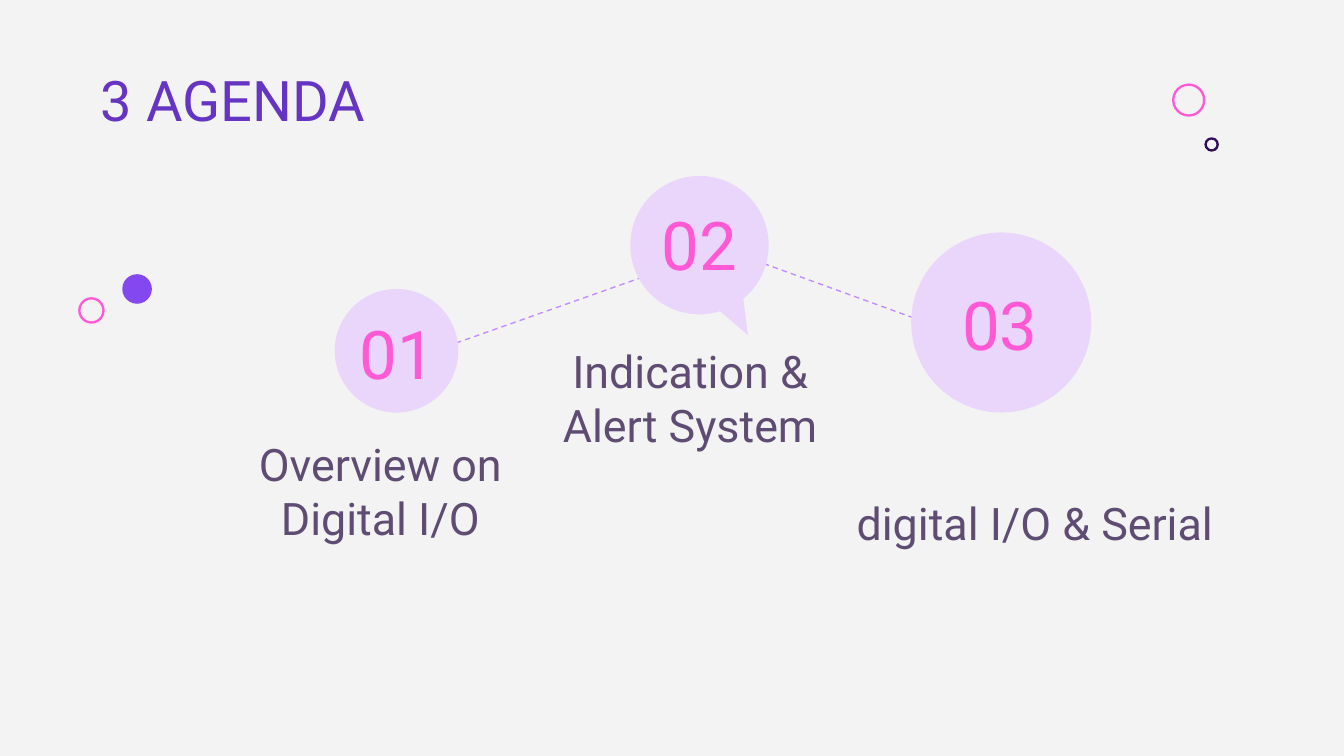
import pptx
import pptx.util
import pptx.dml.color
import pptx.enum.dml
import pptx.enum.shapes
import pptx.enum.text
import pptx.oxml.ns
from lxml import etree

Inches, Pt = pptx.util.Inches, pptx.util.Pt
SHAPE = pptx.enum.shapes.MSO_SHAPE
ALIGN = pptx.enum.text.PP_ALIGN
ANCHOR = pptx.enum.text.MSO_ANCHOR
qn = pptx.oxml.ns.qn

COLORS = {
    "background": "F3F3F3",
    "title": "6634C3",
    "caption": "5E4C72",
    "pink": "FF59D6",
    "navy": "300D59",
    "violet": "8348F0",
    "bubble": "EAD5FB",
    "link": "C08CFF",
}
FONT = "Roboto"


def rgb(name):
    return pptx.dml.color.RGBColor.from_string(COLORS[name])


def write(sp, box, text, size, color, align, anchor):
    """Place a text shape in its box and format its one paragraph."""
    sp.left, sp.top, sp.width, sp.height = (Inches(v) for v in box)
    tf = sp.text_frame
    tf.text = text
    tf.word_wrap = True
    tf.auto_size = pptx.enum.text.MSO_AUTO_SIZE.NONE
    tf.vertical_anchor = anchor
    tf.margin_left = tf.margin_right = Inches(0.1)
    tf.margin_top = tf.margin_bottom = Inches(0.1)
    p = tf.paragraphs[0]
    p.alignment = align
    p.space_before = Pt(0)
    p.font.name, p.font.size, p.font.bold = FONT, Pt(size), False
    p.font.color.rgb = rgb(color)
    return p


def add_round(slide, left, top, size, fill=None, line=None, kind=SHAPE.OVAL):
    """Add a round shape; an outline stays inside the given size."""
    inset = 0.01 if line else 0
    side = Inches(size - 2 * inset)
    sp = slide.shapes.add_shape(kind, Inches(left + inset), Inches(top + inset), side, side)
    sp.shadow.inherit = False
    if fill:
        sp.fill.solid()
        sp.fill.fore_color.rgb = rgb(fill)
    else:
        sp.fill.background()
    if line:
        sp.line.color.rgb = rgb(line)
        sp.line.width = Pt(1.25)
    else:
        sp.line.fill.background()
    return sp


def add_link(slide, x1, y1, x2, y2):
    line = slide.shapes.add_connector(
        pptx.enum.shapes.MSO_CONNECTOR.STRAIGHT, *(Inches(v) for v in (x1, y1, x2, y2)))
    line.line.color.rgb = rgb("link")
    line.line.width = Pt(0.75)
    line.line.dash_style = pptx.enum.dml.MSO_LINE.DASH
    etree.SubElement(line._element.spPr, qn("a:effectLst"))


def add_decorations(slide, x, y, circles):
    """Draw small circles, placed relative to (x, y)."""
    for dx, dy, size, fill, line in circles:
        add_round(slide, x + dx, y + dy, size, fill, line)


def add_step(slide, x, y, size, number, number_box, caption, body, caption_box, tail=None):
    """Draw a numbered bubble at (x, y); both text boxes are relative to it."""
    kind = SHAPE.OVAL_CALLOUT if tail else SHAPE.OVAL
    bubble = add_round(slide, x, y, size, "bubble", kind=kind)
    if tail:
        bubble.adjustments[0], bubble.adjustments[1] = tail

    def place(box):
        return (x + box[0], y + box[1], box[2], box[3])

    label = slide.shapes.add_textbox(0, 0, 0, 0)
    write(label, place(number_box), number, 36, "pink", ALIGN.CENTER, ANCHOR.MIDDLE)

    p = write(body, place(caption_box), caption, 24, "caption", ALIGN.CENTER, ANCHOR.BOTTOM)
    pPr = p._p.get_or_add_pPr()
    pPr.set("marL", "0")
    pPr.set("indent", "0")
    pPr.insert_element_before(pPr.makeelement(qn("a:buNone"), {}),
                              "a:tabLst", "a:defRPr", "a:extLst")


def add_timeline(slide, x, y, bodies):
    """Draw the linked steps, placed relative to (x, y)."""
    add_link(slide, x + 2.72, y + 0.48, x + 4.9, y + 1.27)
    add_link(slide, x + 0.43, y + 1.41, x + 2.75, y + 0.59)

    # dx, dy, size, number, number box, caption, caption box, callout tail
    steps = [
        (0, 0.84, 0.92, "01", (0.07, 0.16, 0.79, 0.63),
         "Overview on Digital I/O", (-0.91, 1.07, 2.5, 0.93), None),
        (2.2, 0, 1.03, "02", (-0.21, 0.19, 1.45, 0.63),
         "Indication & Alert System", (-0.76, 1.44, 2.41, 0.71), (0.35, 0.65)),
        (4.29, 0.42, 1.34, "03", (0, 0.36, 1.32, 0.63),
         "digital I/O & Serial", (-0.63, 1.5, 3.1, 0.96), None),
    ]
    for body, (dx, dy, size, number, number_box, caption, caption_box, tail) in zip(bodies, steps):
        add_step(slide, x + dx, y + dy, size, number, number_box, caption, body, caption_box, tail)


def main():
    prs = pptx.Presentation()
    prs.slide_width = Inches(10)
    prs.slide_height = prs.slide_width * 9 // 16
    s = prs.slides.add_slide(prs.slide_layouts.get_by_name("Comparison"))
    s.background.fill.solid()
    s.background.fill.fore_color.rgb = rgb("background")

    # Title
    write(s.shapes.title, (0.65, 0.39, 7.36, 0.71), "3 AGENDA", 30, "title",
          ALIGN.LEFT, ANCHOR.TOP)

    # Corner and side circles
    add_decorations(s, 8.72, 0.62, [(0, 0, 0.25, None, "pink"),
                                    (0.24, 0.4, 0.11, None, "navy")])
    add_decorations(s, 0.58, 2.04, [(0.33, 0, 0.22, "violet", None),
                                    (0, 0.17, 0.2, None, "pink")])

    # Steps, with the layout's spare body removed
    *bodies, spare = [ph for ph in s.placeholders if 1 <= ph.placeholder_format.idx <= 4]
    spare._element.getparent().remove(spare._element)
    add_timeline(s, 2.49, 1.31, bodies)

    prs.save("out.pptx")


if __name__ == "__main__":
    main()
